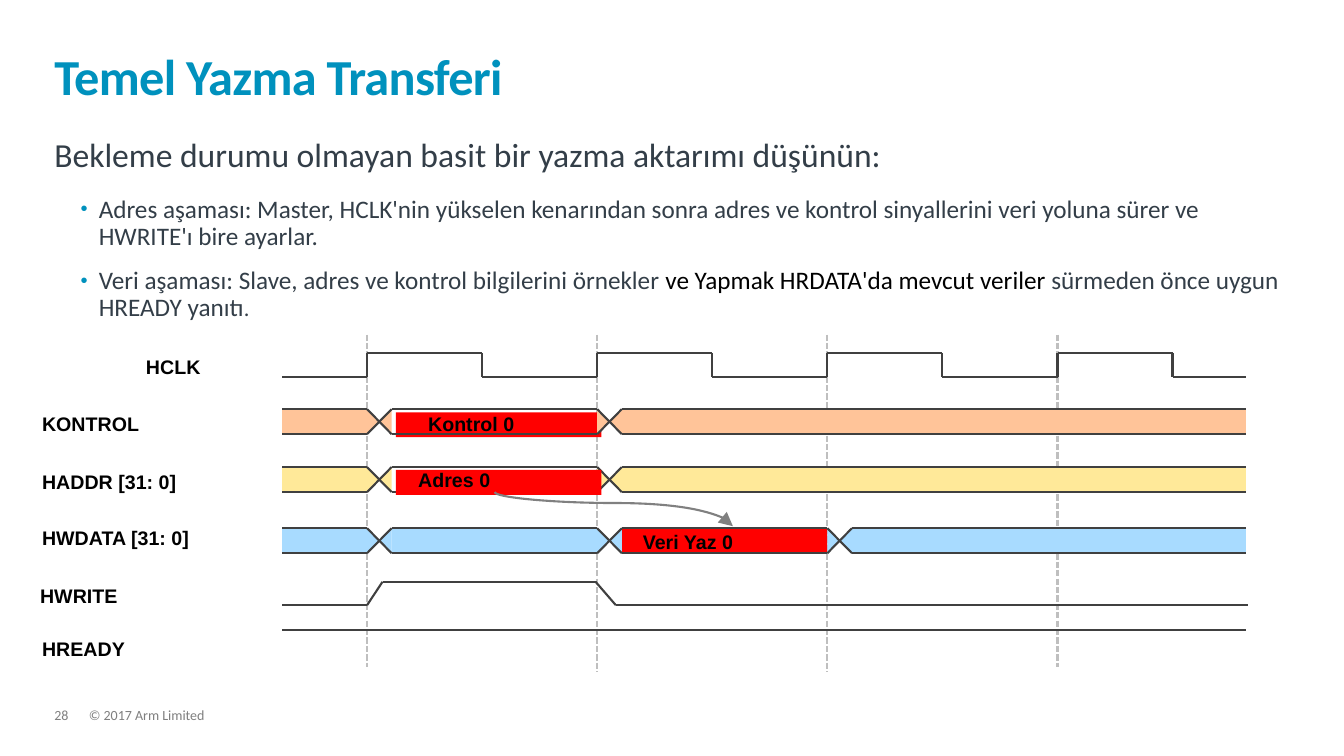
from dataclasses import dataclass
from itertools import pairwise

from lxml.etree import SubElement
from pptx import Presentation
from pptx.dml.color import RGBColor
from pptx.enum.dml import MSO_LINE
from pptx.enum.shapes import MSO_CONNECTOR as Link, MSO_SHAPE as Preset
from pptx.enum.text import MSO_ANCHOR as Anchor, PP_ALIGN as Align
from pptx.oxml.ns import qn
from pptx.util import Cm, Pt

COLOURS = {
    "title": "0091BD", "body": "333E48", "black": "000000", "footer": "7F7F7F",
    "signal": "404040", "edge": "BFBFBF", "arrow": "808080", "value": "FF0000",
    "control": "FFC499", "address": "FFE999", "data": "A8DBFF",
}
# Timing grid in centimetres
START, END = 7.11, 31.4
PERIOD = 5.8
EDGES = [9.25 + PERIOD * cycle for cycle in range(4)]
BUS_HEIGHT = 0.63
SLOPE = 0.31  # half the width of a bus crossing
CLOCK_HIGH, CLOCK_LOW = 8.89, 9.5

Point = tuple[float, float]


@dataclass
class Bus:
    top: float
    colour: str
    changes: list[float]
    bodies: list[str | None]


@dataclass
class Label:
    text: str
    left: float
    top: float
    width: float = 5.49


CONTROL = Bus(10.31, "control", EDGES[:2], ["control", None, "control"])
ADDRESS = Bus(11.77, "address", EDGES[:2], ["address", None, "address"])
DATA = Bus(13.31, "data", EDGES[:3], ["data", "data", "value", "data"])

LABELS = [
    Label("HCLK", 3.43, 8.81, 2.69),
    Label("KONTROL", 0.81, 10.26),
    Label("HADDR [31: 0]", 0.81, 11.71),
    Label("HWDATA [31: 0]", 0.81, 13.13),
    Label("HWRITE", 0.76, 14.58),
    Label("HREADY", 0.81, 15.93),
    Label("Kontrol 0", 10.54, 10.26, 4.57),
    Label("Adres 0", 10.29, 11.66, 4.57),
    Label("Veri Yaz 0", 15.95, 13.23, 5.03),
]
BULLETS = [
    [("Adres aşaması: Master, HCLK'nin yükselen kenarından sonra adres ve kontrol "
      "sinyallerini veri yoluna sürer ve HWRITE'ı bire ayarlar.", "body", 18)],
    [("Veri aşaması: Slave, adres ve kontrol bilgilerini örnekler ", "body", 18),
     ("ve Yapmak HRDATA'da mevcut veriler ", "black", 18),
     ("sürmeden önce uygun HREADY yanıtı", "body", 18),
     (".", "body", 16)],
]

deck = Presentation()
deck.slide_width, deck.slide_height = Cm(33.87), Cm(19.05)
page = deck.slides.add_slide(deck.slide_layouts[5])


def rgb(name: str) -> RGBColor:
    return RGBColor.from_string(COLOURS[name])


def style(font, size: float, colour: str, name: str = "Calibri", bold: bool = False) -> None:
    font.name, font.size, font.bold = name, Pt(size), bold
    font.color.rgb = rgb(colour)


def clear_margins(frame) -> None:
    frame.margin_left = frame.margin_right = frame.margin_top = frame.margin_bottom = 0


def add_box(left: float, top: float, width: float, height: float):
    box = page.shapes.add_textbox(Cm(left), Cm(top), Cm(width), Cm(height))
    box.text_frame.word_wrap = True
    return box.text_frame


def add_line(start: Point, end: Point, colour: str = "signal", kind: Link = Link.STRAIGHT):
    line = page.shapes.add_connector(kind, *(Cm(value) for value in (*start, *end)))
    line.line.color.rgb = rgb(colour)
    line.line.width = Pt(1.5)
    SubElement(line._element.spPr, qn("a:effectLst"))
    return line


def add_trace(points: list[Point]) -> None:
    for start, end in pairwise(points):
        add_line(start, end)


def add_fill(kind: Preset, left: float, top: float, width: float, height: float, colour: str):
    shape = page.shapes.add_shape(kind, Cm(left), Cm(top), Cm(width), Cm(height))
    shape.shadow.inherit = False
    shape.fill.solid()
    shape.fill.fore_color.rgb = rgb(colour)
    shape.line.fill.background()
    return shape


def add_tip(left: float, middle: float, rotation: int, colour: str) -> None:
    tip = add_fill(Preset.ISOSCELES_TRIANGLE, left + (SLOPE - BUS_HEIGHT) / 2,
                   middle - SLOPE / 2, BUS_HEIGHT, SLOPE, colour)
    tip.rotation = rotation


def add_bus(bus: Bus) -> None:
    bottom, middle = bus.top + BUS_HEIGHT, bus.top + BUS_HEIGHT / 2
    starts = [START] + [edge + 2 * SLOPE for edge in bus.changes]
    ends = bus.changes + [END]
    for left, right, body in zip(starts, ends, bus.bodies):
        if body:
            add_fill(Preset.RECTANGLE, left, bus.top, right - left, BUS_HEIGHT, body)
        if left != START:
            add_tip(left - SLOPE, middle, 270, bus.colour)
            add_trace([(left, bus.top), (left - SLOPE, middle), (left, bottom)])
        if right != END:
            add_tip(right, middle, 90, bus.colour)
            add_trace([(right, bus.top), (right + SLOPE, middle), (right, bottom)])
        for level in (bus.top, bottom):
            add_line((left, level), (right, level))


def add_value(top: float) -> None:
    add_fill(Preset.RECTANGLE, 9.98, top, 5.18, BUS_HEIGHT, "value")


# Title
title = page.shapes.title
title.left, title.top, title.width, title.height = Cm(1.37), Cm(0.81), Cm(31.06), Cm(1.85)
title.text_frame.text = "Temel Yazma Transferi"
title.text_frame.vertical_anchor = Anchor.BOTTOM
clear_margins(title.text_frame)
para = title.text_frame.paragraphs[0]
para.alignment, para.line_spacing = Align.LEFT, 0.85
style(para.font, 36, "title", bold=True)
para.runs[0]._r.get_or_add_rPr().set("spc", "-50")

# Introduction and bullets
body = add_box(1.37, 3.48, 31.06, 11.35)
clear_margins(body)
para = body.paragraphs[0]
para.text = "Bekleme durumu olmayan basit bir yazma aktarımı düşünün:"
para.line_spacing, para.space_after = 0.9, Pt(16)
style(para.font, 24, "body")
for spans in BULLETS:
    para = body.add_paragraph()
    props = para._p.get_or_add_pPr()
    props.set("marL", str(Cm(1.12)))
    props.set("indent", str(Cm(-0.46)))
    SubElement(SubElement(props, qn("a:buClr")), qn("a:srgbClr"), val=COLOURS["title"])
    SubElement(props, qn("a:buSzPct"), val="80000")
    SubElement(props, qn("a:buFont"), typeface="Arial")
    SubElement(props, qn("a:buChar"), char="•")
    para.line_spacing, para.space_after = 0.9, Pt(12)
    for text, colour, size in spans:
        span = para.add_run()
        span.text = text
        style(span.font, size, colour)

# Clock edges
for edge, foot in zip(EDGES, (16.81, 16.94, 16.94, 16.81)):
    add_line((edge, 8.43), (edge, foot), "edge").line.dash_style = MSO_LINE.SQUARE_DOT

# Clock signal
clock = [(START, CLOCK_LOW)]
for edge in EDGES:
    fall = edge + PERIOD / 2
    clock += [(edge, CLOCK_LOW), (edge, CLOCK_HIGH), (fall, CLOCK_HIGH), (fall, CLOCK_LOW)]
add_trace(clock + [(END, CLOCK_LOW)])

# Buses and their values
add_value(10.39)
add_bus(CONTROL)
add_bus(ADDRESS)
add_value(11.84)
add_bus(DATA)

# Write and ready signals
add_trace([(START, 15.25), (9.25, 15.25), (9.64, 14.66), (15.01, 14.66),
           (15.52, 15.25), (31.46, 15.25)])
add_line((START, 15.88), (END, 15.88))

# Arrow from address to data
arrow = add_line((15.04, 9.83), (15.9, 15.83), "arrow", Link.CURVE)
transform = arrow._element.spPr.find(qn("a:xfrm"))
transform.set("rot", "16200000")
transform.set("flipH", "1")
guides = arrow._element.spPr.find(qn("a:prstGeom")).find(qn("a:avLst"))
SubElement(guides, qn("a:gd"), name="adj1", fmla="val 32100")
SubElement(arrow.line._get_or_add_ln(), qn("a:tailEnd"), type="triangle", w="lg", len="lg")

# Signal and value labels
for label in LABELS:
    para = add_box(label.left, label.top, label.width, 0.86).paragraphs[0]
    para.text = label.text
    style(para.font, 14, "black", "Arial", True)

# Footer
for text, left, width in (("28", 1.37, 0.86), ("© 2017 Arm Limited", 2.24, 23.19)):
    footer = add_box(left, 17.86, width, 0.38)
    clear_margins(footer)
    para = footer.paragraphs[0]
    para.text, para.line_spacing = text, 0.9
    style(para.font, 10, "footer")

deck.save("out.pptx")
